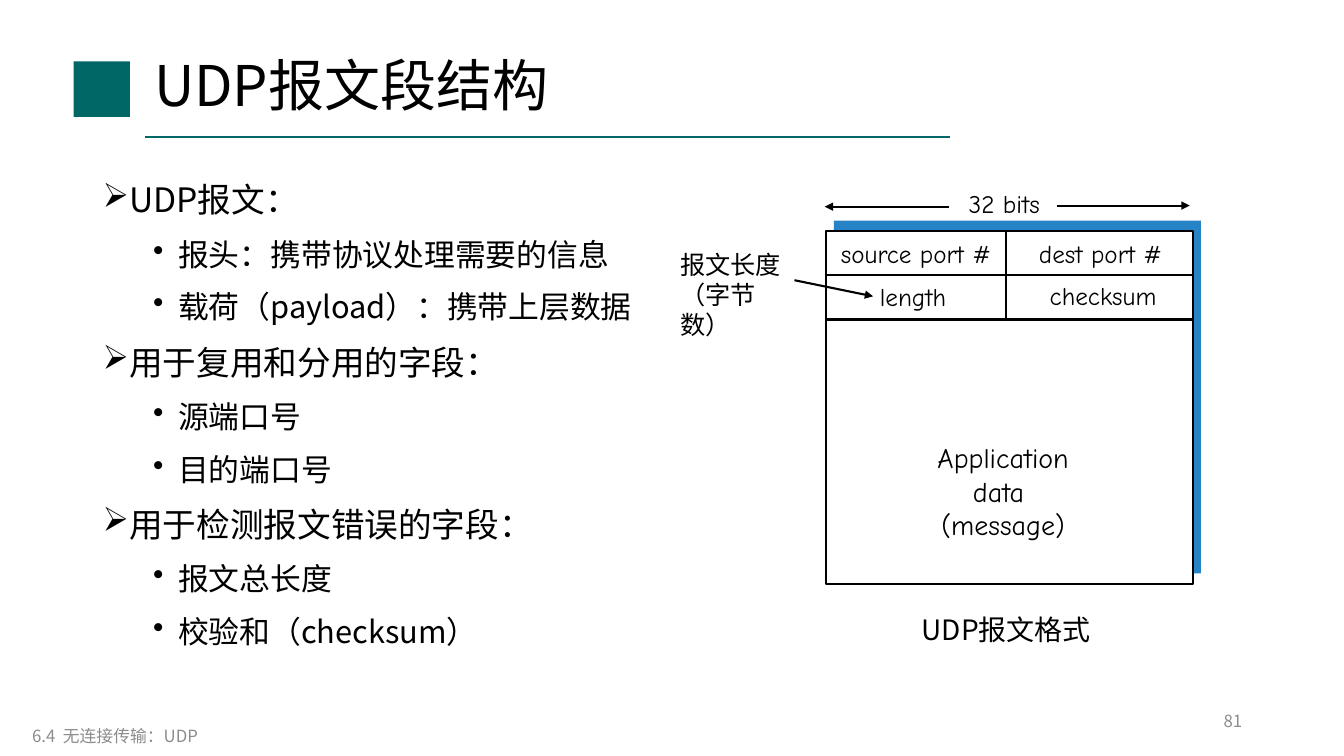
from typing import NamedTuple, Optional

from lxml import etree
from pptx import Presentation
from pptx import util as u
from pptx.dml.color import RGBColor
from pptx.enum import shapes, text
from pptx.oxml.ns import qn

PX = 9144
TEAL = RGBColor(0x00, 0x66, 0x66)
BLUE = RGBColor(0x26, 0x83, 0xC6)
BLACK = RGBColor(0x00, 0x00, 0x00)
WHITE = RGBColor(0xFF, 0xFF, 0xFF)
GRAY = RGBColor(0x8C, 0x8C, 0x8C)
CJK = "Noto Sans CJK SC"
COMIC = "Comic Neue"
LEFT, CENTER, RIGHT = text.PP_ALIGN.LEFT, text.PP_ALIGN.CENTER, text.PP_ALIGN.RIGHT
TOP, MIDDLE = text.MSO_ANCHOR.TOP, text.MSO_ANCHOR.MIDDLE
HEADER_TOP, ROW_HEIGHT = 229, 44


class Label(NamedTuple):
    lines: tuple[str, ...]
    x: int
    y: int
    w: int
    h: int
    size: int
    font: str = COMIC
    color: RGBColor = BLACK
    align: text.PP_ALIGN = CENTER
    anchor: text.MSO_ANCHOR = TOP
    wrap: bool = False
    spacing: float = 1.0


class Box(NamedTuple):
    x: int
    y: int
    w: int
    h: int
    fill: RGBColor
    line: Optional[RGBColor] = None


class Rule(NamedTuple):
    x1: int
    y1: int
    x2: int
    y2: int
    color: RGBColor = BLACK
    arrow: bool = False


class Level(NamedTuple):
    index: int
    bullet: str
    size: int
    margin: int


TOPIC = Level(0, "➢", 24, 25)
DETAIL = Level(1, "•", 22, 75)

BODY = (
    (TOPIC, "UDP报文："),
    (DETAIL, "报头：携带协议处理需要的信息"),
    (DETAIL, "载荷（payload）：携带上层数据"),
    (TOPIC, "用于复用和分用的字段："),
    (DETAIL, "源端口号"),
    (DETAIL, "目的端口号"),
    (TOPIC, "用于检测报文错误的字段："),
    (DETAIL, "报文总长度"),
    (DETAIL, "校验和（checksum）"),
)

BOXES = (
    Box(73, 61, 56, 55, TEAL),
    Box(827, 219, 364, 350, BLUE),
    Box(819, HEADER_TOP, 364, 350, WHITE, BLACK),
)

ROW_ENDS = [HEADER_TOP + ROW_HEIGHT * n for n in (1, 2)]
RULES = (
    Rule(144, 136, 942, 136, TEAL),
    *(Rule(818, y, 1182, y) for y in ROW_ENDS),
    *(Rule(998, y, 998, y - ROW_HEIGHT) for y in ROW_ENDS),
    Rule(1048, 204, 1180, 204, arrow=True),
    Rule(941, 205, 818, 205, arrow=True),
    Rule(788, 278, 866, 294, arrow=True),
)

LABELS = (
    Label(("UDP报文段结构",), 143, 40, 899, 96, 40, CJK, align=LEFT,
          anchor=MIDDLE, wrap=True, spacing=0.9),
    Label(("source port #",), 817, 232, 183, 40, 18),
    Label(("dest port #",), 1012, 232, 159, 40, 18),
    Label(("length",), 859, 274, 93, 40, 18),
    Label(("checksum",), 1028, 273, 132, 40, 18),
    Label(("32 bits",), 944, 182, 104, 40, 18),
    Label(("Application", "data ", "(message)"), 913, 432, 164, 110, 20),
    Label(("UDP报文格式",), 902, 603, 192, 44, 20, CJK, wrap=True),
    Label(("报文长度（字节数）",), 665, 242, 144, 71, 18, CJK, align=LEFT, wrap=True),
    Label(("81",), 942, 695, 300, 40, 12, CJK, GRAY, RIGHT, MIDDLE, True),
    Label(("6.4  无连接传输：UDP",), 22, 710, 300, 40, 12, CJK, GRAY, LEFT, MIDDLE, True),
)


def px(*lengths: int) -> list[u.Emu]:
    return [u.Emu(n * PX) for n in lengths]


def style(p, size: int, font: str, color: RGBColor) -> None:
    p.font.size = u.Pt(size)
    p.font.name = font
    p.font.color.rgb = color
    defaults = p._p.pPr.find(qn("a:defRPr"))
    etree.SubElement(defaults, qn("a:ea"), typeface=font)


def draw_box(s, box: Box) -> None:
    sp = s.shapes.add_shape(shapes.MSO_SHAPE.RECTANGLE, *px(*box[:4]))
    sp.shadow.inherit = False
    sp.fill.solid()
    sp.fill.fore_color.rgb = box.fill
    if box.line is None:
        sp.line.fill.background()
    else:
        sp.line.color.rgb = box.line
        sp.line.width = u.Pt(1.5)


def draw_rule(s, rule: Rule) -> None:
    sp = s.shapes.add_connector(shapes.MSO_CONNECTOR.STRAIGHT, *px(*rule[:4]))
    sp.line.color.rgb = rule.color
    sp.line.width = u.Pt(1.5)
    props = sp._element.spPr
    if rule.arrow:
        etree.SubElement(props.find(qn("a:ln")), qn("a:tailEnd"), type="triangle")
    etree.SubElement(props, qn("a:effectLst"))


def draw_label(s, label: Label) -> None:
    tf = s.shapes.add_textbox(*px(label.x, label.y, label.w, label.h)).text_frame
    tf.word_wrap = label.wrap
    tf.vertical_anchor = label.anchor
    for n, line in enumerate(label.lines):
        p = tf.add_paragraph() if n else tf.paragraphs[0]
        p.text = line
        p.alignment = label.align
        p.line_spacing = label.spacing
        style(p, label.size, label.font, label.color)


def draw_body(s) -> None:
    tf = s.shapes.add_textbox(*px(92, 165, 610, 530)).text_frame
    tf.word_wrap = True
    for n, (level, line) in enumerate(BODY):
        p = tf.add_paragraph() if n else tf.paragraphs[0]
        p.text = line
        p.level = level.index
        p.line_spacing = 1.2
        p.space_before = u.Pt(6 if n else 0)
        props = p._p.get_or_add_pPr()
        props.set("marL", str(level.margin * PX))
        props.set("indent", str(-25 * PX))
        etree.SubElement(props, qn("a:buChar"), char=level.bullet)
        style(p, level.size, CJK, BLACK)


def main() -> None:
    prs = Presentation()
    prs.slide_width, prs.slide_height = px(1333, 750)
    s = prs.slides.add_slide(prs.slide_layouts[6])
    for box in BOXES:
        draw_box(s, box)
    for rule in RULES:
        draw_rule(s, rule)
    draw_body(s)
    for label in LABELS:
        draw_label(s, label)
    prs.save("out.pptx")


if __name__ == "__main__":
    main()
